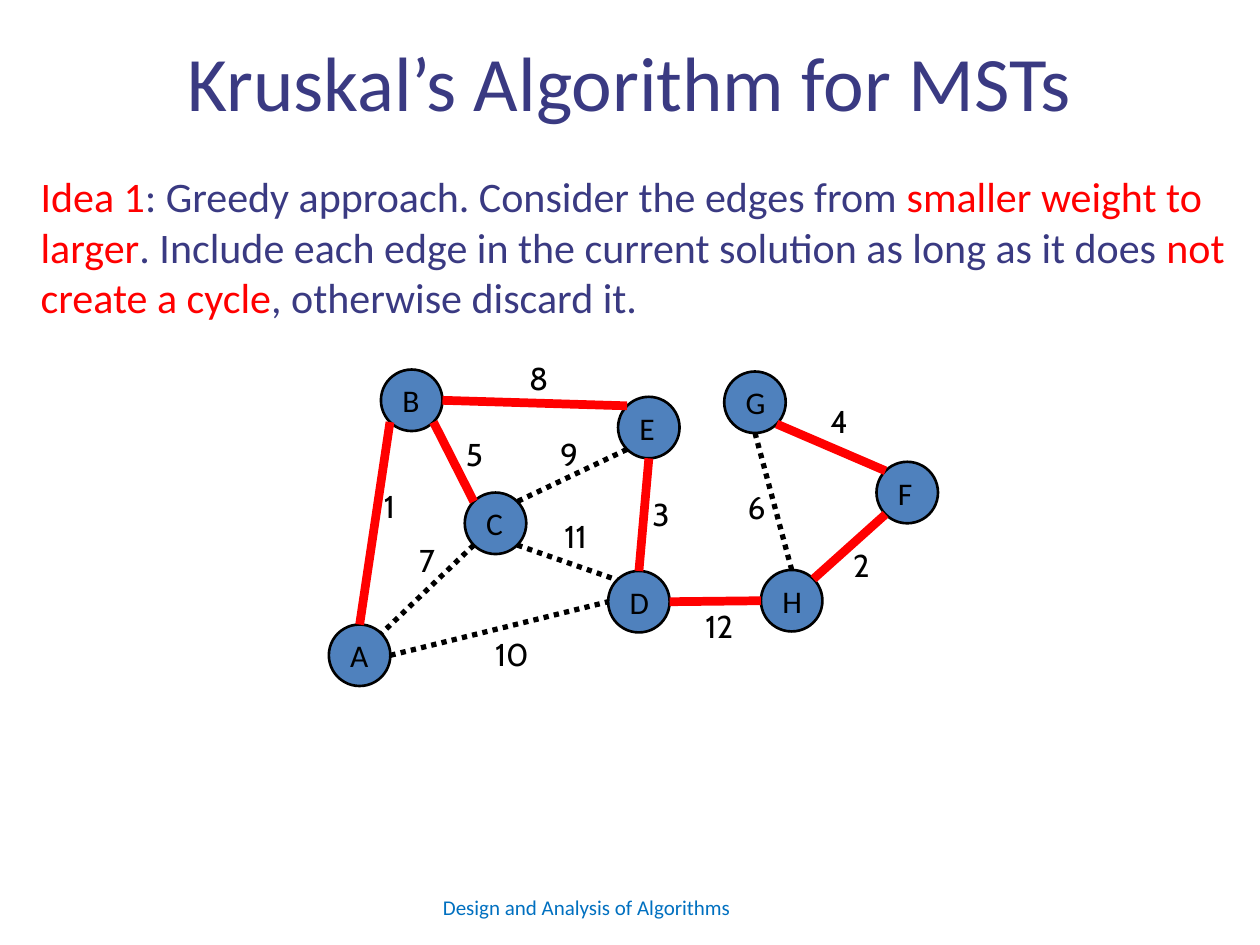
from math import cos, radians, sin

from lxml.etree import SubElement
from pptx import Presentation
from pptx.dml.color import RGBColor
from pptx.enum.dml import MSO_LINE_DASH_STYLE as DASH
from pptx.enum.shapes import MSO_CONNECTOR, MSO_SHAPE
from pptx.enum.text import MSO_ANCHOR, MSO_AUTO_SIZE, PP_ALIGN
from pptx.oxml.ns import qn
from pptx.util import Cm, Pt

INDIGO = RGBColor(0x3A, 0x3A, 0x82)
RED = RGBColor(0xFF, 0x00, 0x00)
BLACK = RGBColor(0x00, 0x00, 0x00)
NODE_BLUE = RGBColor(0x4F, 0x81, 0xBD)
FOOTER_BLUE = RGBColor(0x00, 0x70, 0xC0)

NODE_SIZE = 1.24
LABEL_HEIGHT = 1.02

# Node centres in cm, relative to the graph's box
NODES = {
    "A": (0.62, 6.1), "B": (1.67, 0.96), "C": (3.36, 3.44), "D": (6.25, 5.02),
    "E": (6.45, 1.51), "F": (11.66, 2.82), "G": (8.59, 1.0), "H": (9.33, 5.0),
}

# Places on a node's rim, as clockwise angles from the right
ANGLES = {side: i * 45 for i, side in enumerate(
    ("right", "bottom right", "bottom", "bottom left",
     "left", "top left", "top", "top right"))}

# Weight, start, end, whether in the tree, and the label's place in cm
EDGES = [
    (1, ("B", "bottom left"), ("A", "top"), True, (0.86, 2.59)),
    (2, ("H", "top right"), ("F", "bottom left"), True, (10.32, 3.77)),
    (3, ("E", "bottom"), ("D", "top"), True, (6.27, 2.74)),
    (4, ("F", "top left"), ("G", "bottom right"), True, (9.86, 0.86)),
    (5, ("B", "bottom right"), ("C", "top left"), True, (2.51, 1.53)),
    (6, ("H", "top"), ("G", "bottom"), False, (8.19, 2.61)),
    (7, ("C", "bottom left"), ("A", "top right"), False, (1.57, 3.68)),
    (8, ("B", "right"), ("E", "top left"), True, (3.79, 0)),
    (9, ("E", "bottom left"), ("C", "top right"), False, (4.41, 1.54)),
    (10, ("A", "right"), ("D", "left"), False, (3.1, 5.56)),
    (11, ("C", "bottom right"), ("D", "top left"), False, (4.5, 3.19)),
    (12, ("H", "left"), ("D", "right"), True, (7.34, 5.0)),
]


def write(sp, runs, *, size, font="Calibri", align=PP_ALIGN.LEFT,
          anchor=MSO_ANCHOR.TOP, wrap=True, inset=None):
    """Fill a shape with one paragraph of (text, colour) runs."""
    tf = sp.text_frame
    tf.word_wrap = wrap
    tf.auto_size = MSO_AUTO_SIZE.NONE
    tf.vertical_anchor = anchor
    if inset is not None:
        tf.margin_left = tf.margin_right = Cm(inset)
        tf.margin_top = tf.margin_bottom = Cm(inset)
    p = tf.paragraphs[0]
    p.alignment = align
    for text, color in runs:
        r = p.add_run()
        r.text = text
        r.font.name = font
        r.font.size = Pt(size)
        r.font.color.rgb = color
    return p


def add_title(slide, x, y, w, h):
    sp = slide.shapes.title
    sp.left, sp.top, sp.width, sp.height = Cm(x), Cm(y), Cm(w), Cm(h)
    write(sp, [("Kruskal’s Algorithm for MSTs", INDIGO)], size=44,
          align=PP_ALIGN.CENTER, inset=0.25)


def add_idea(slide, x, y, w, h):
    sp = slide.shapes.add_textbox(Cm(x), Cm(y), Cm(w), Cm(h))
    p = write(sp, [
        ("Idea 1", RED),
        (": Greedy approach. Consider the edges from ", INDIGO),
        ("smaller weight to larger", RED),
        (". Include each edge in the current solution as long as it does ", INDIGO),
        ("not create a cycle", RED),
        (", otherwise discard it.", INDIGO),
    ], size=24, inset=0.25)
    p_pr = p._p.get_or_add_pPr()
    p_pr.set("marL", str(Cm(0.2)))
    p_pr.set("indent", "0")


def add_node(slide, name, cx, cy):
    sp = slide.shapes.add_shape(
        MSO_SHAPE.OVAL, Cm(cx - NODE_SIZE / 2), Cm(cy - NODE_SIZE / 2),
        Cm(NODE_SIZE), Cm(NODE_SIZE))
    sp.shadow.inherit = False
    sp.fill.solid()
    sp.fill.fore_color.rgb = NODE_BLUE
    sp.line.color.rgb = BLACK
    sp.line.width = Pt(1.5)
    write(sp, [(name, BLACK)], size=18, anchor=MSO_ANCHOR.MIDDLE, wrap=False)


def rim_point(x, y, node, side):
    """Return the place on a node's rim where an edge meets it."""
    cx, cy = NODES[node]
    angle = radians(ANGLES[side])
    return (Cm(x + cx + NODE_SIZE / 2 * cos(angle)),
            Cm(y + cy + NODE_SIZE / 2 * sin(angle)))


def add_edge(slide, start, end, in_tree):
    line = slide.shapes.add_connector(MSO_CONNECTOR.STRAIGHT, *start, *end)
    line.line.color.rgb = RED if in_tree else BLACK
    line.line.width = Pt(5 if in_tree else 3)
    if not in_tree:
        line.line.dash_style = DASH.ROUND_DOT
    SubElement(line._element.spPr, qn("a:effectLst"))


def add_graph(slide, x, y):
    for name, (cx, cy) in NODES.items():
        add_node(slide, name, x + cx, y + cy)
    for weight, start, end, in_tree, (lx, ly) in EDGES:
        add_edge(slide, rim_point(x, y, *start), rim_point(x, y, *end), in_tree)
        width = 1.24 if weight < 10 else 1.78
        sp = slide.shapes.add_textbox(
            Cm(x + lx), Cm(y + ly), Cm(width), Cm(LABEL_HEIGHT))
        write(sp, [(str(weight), BLACK)], size=18, font="Cabin")


def add_footer(slide, x, y, w, h):
    sp = slide.shapes.add_textbox(Cm(x), Cm(y), Cm(w), Cm(h))
    write(sp, [("Design and Analysis of Algorithms", FOOTER_BLUE)], size=12)


def main():
    prs = Presentation()
    prs.slide_width, prs.slide_height = Cm(25.4), Cm(19.05)
    slide = prs.slides.add_slide(prs.slide_layouts[5])
    add_title(slide, 0.42, 0.44, 24.56, 1.6)
    add_idea(slide, 0.37, 3.19, 24.64, 5.51)
    add_graph(slide, 6.63, 7.11)
    add_footer(slide, 8.68, 17.91, 8.05, 1.02)
    prs.save("out.pptx")


if __name__ == "__main__":
    main()
